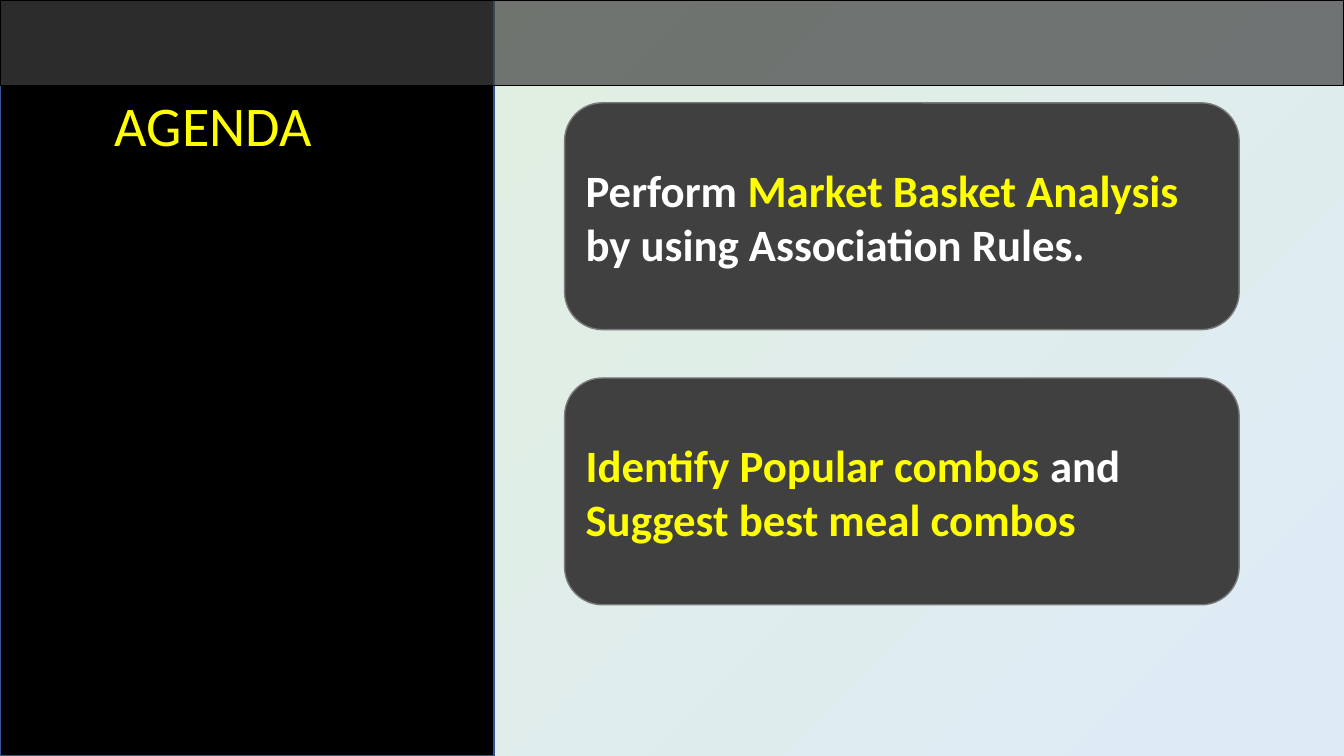
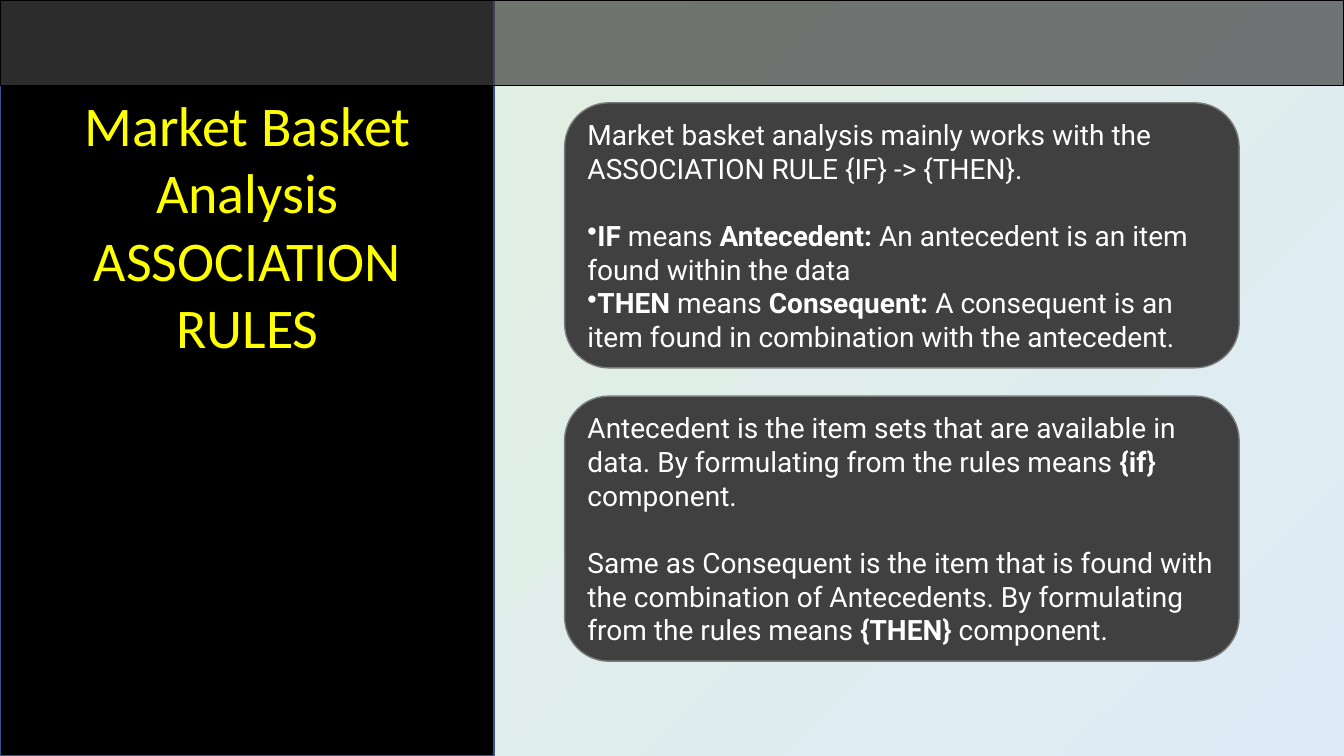
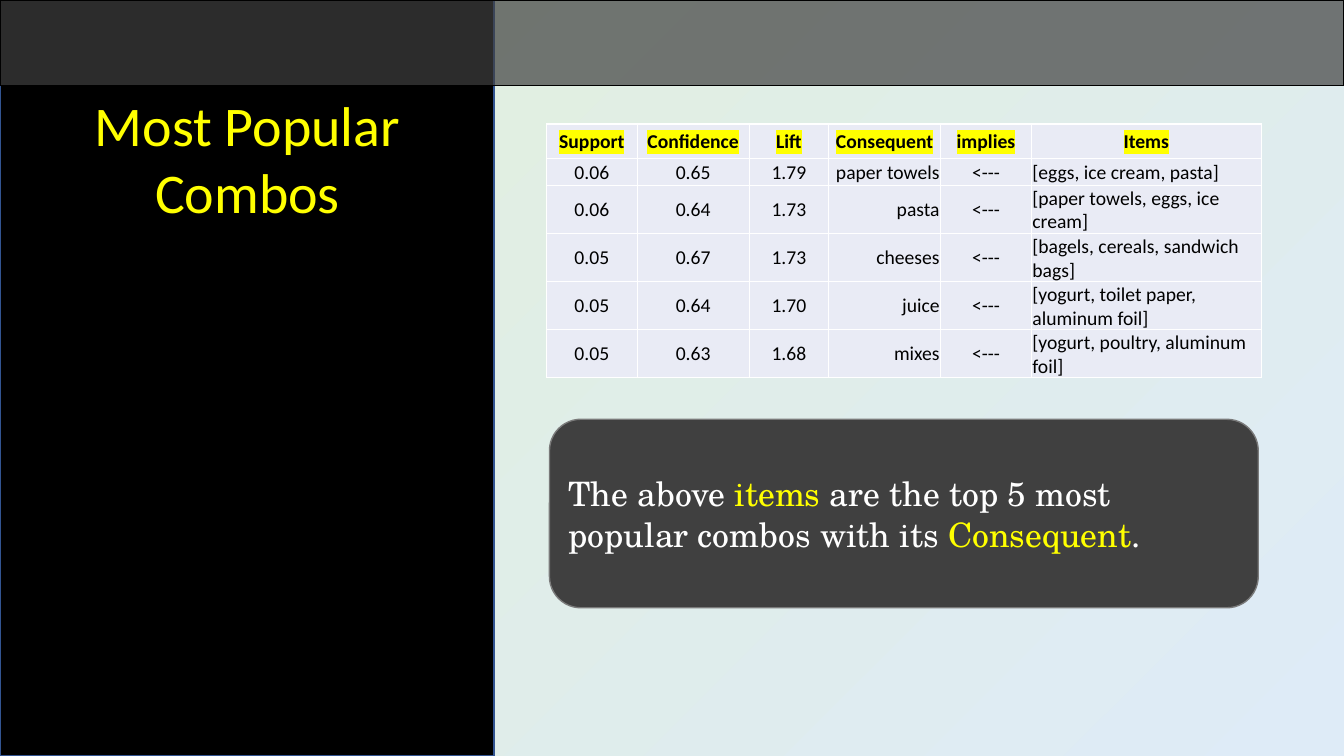
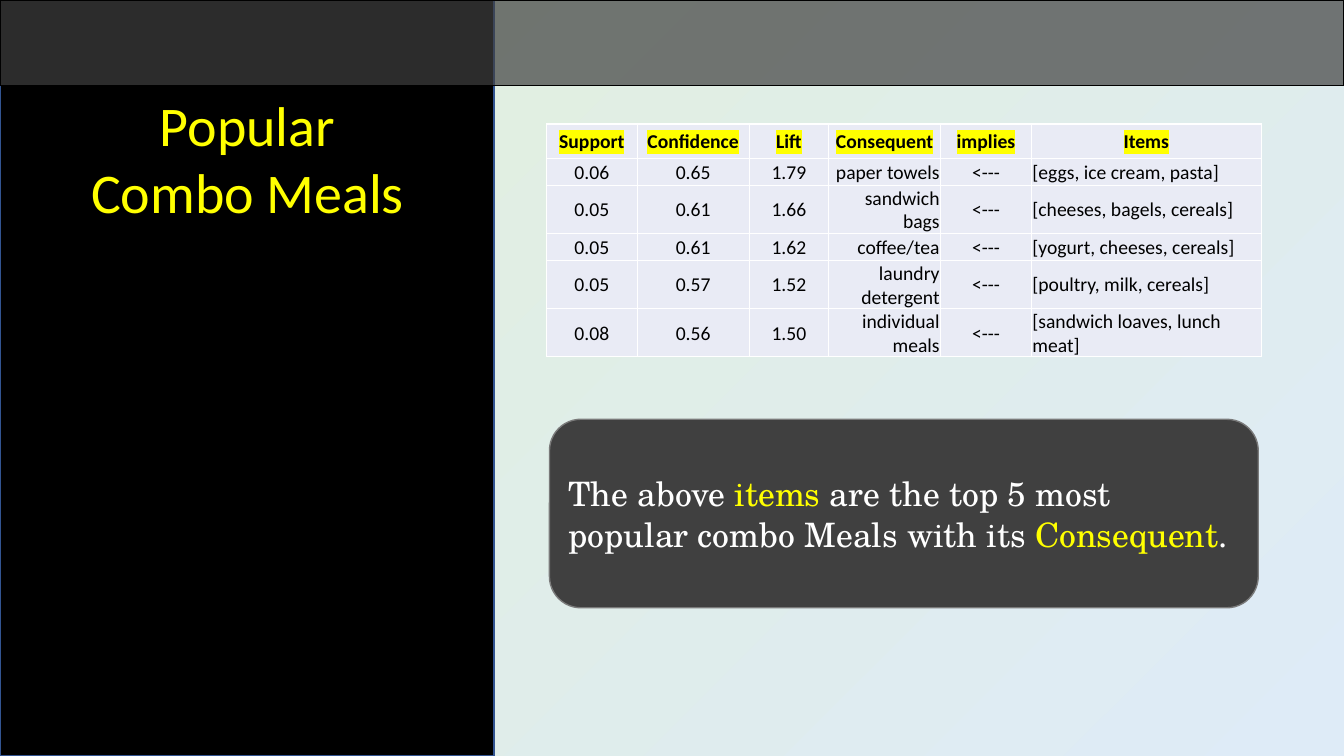
"""Build a four-slide deck on market basket analysis."""
from dataclasses import dataclass

from lxml.etree import SubElement
from pptx import Presentation
from pptx.dml.color import RGBColor
from pptx.enum.shapes import MSO_SHAPE
from pptx.enum.text import MSO_ANCHOR, MSO_AUTO_SIZE, PP_ALIGN
from pptx.oxml.ns import qn
from pptx.shapes.autoshape import Shape
from pptx.slide import Slide
from pptx.table import _Cell
from pptx.text.text import TextFrame
from pptx.util import Inches, Pt

BLACK = RGBColor(0x00, 0x00, 0x00)
WHITE = RGBColor(0xFF, 0xFF, 0xFF)
YELLOW = RGBColor(0xFF, 0xFF, 0x00)
CHARCOAL = RGBColor(0x40, 0x40, 0x40)
CARD_EDGE = RGBColor(0x7A, 0x7A, 0x7A)
PANEL_EDGE = RGBColor(0x32, 0x54, 0x91)
CELL_FILL = RGBColor(0xE9, 0xEB, 0xF5)
PALE_GREEN = RGBColor(0xE2, 0xF0, 0xD9)
PALE_BLUE = RGBColor(0xDE, 0xEB, 0xF7)

SLIDE_WIDTH = Inches(13.33)
SLIDE_HEIGHT = Inches(7.5)
PANEL_WIDTH = Inches(4.9)
BAND_HEIGHT = Inches(0.85)
BAND_OPACITY = 70

HEADERS = ("Support", "Confidence", "Lift", "Consequent", "implies", "Items")
COLUMN_WIDTHS = (0.9, 1.11, 0.79, 1.11, 0.9, 2.28)
COLUMN_ALIGNMENTS = (PP_ALIGN.CENTER,) * 3 + (PP_ALIGN.RIGHT, PP_ALIGN.CENTER, PP_ALIGN.LEFT)
HEADER_HEIGHT = 0.34
ROW_HEIGHT = 0.27
ARROW = "<---"


@dataclass(frozen=True)
class Frame:
    left: float
    top: float
    width: float
    height: float

    def lengths(self) -> tuple[Inches, Inches, Inches, Inches]:
        return Inches(self.left), Inches(self.top), Inches(self.width), Inches(self.height)


@dataclass(frozen=True)
class TextStyle:
    font: str
    size: int
    color: RGBColor = WHITE
    bold: bool = False


@dataclass(frozen=True)
class Span:
    text: str
    color: RGBColor | None = None
    bold: bool | None = None


@dataclass(frozen=True)
class Para:
    spans: tuple[Span, ...]
    bullet: bool = False
    space_before: int = 0


@dataclass(frozen=True)
class Title:
    lines: tuple[str, ...]
    frame: Frame = Frame(0.62, 0.85, 3.67, 1.45)
    alignment: PP_ALIGN = PP_ALIGN.CENTER


@dataclass(frozen=True)
class Card:
    frame: Frame
    style: TextStyle
    paras: tuple[Para, ...]


@dataclass(frozen=True)
class Combo:
    support: str
    confidence: str
    lift: str
    consequent: str
    items: str

    def values(self) -> tuple[str, ...]:
        return self.support, self.confidence, self.lift, self.consequent, ARROW, self.items


@dataclass(frozen=True)
class Page:
    title: Title
    cards: tuple[Card, ...]
    combos: tuple[Combo, ...] = ()


TITLE_STYLE = TextStyle("Calibri", 40, YELLOW)
AGENDA_STYLE = TextStyle("Calibri", 32, bold=True)
RULES_STYLE = TextStyle("Roboto", 20)
SUMMARY_STYLE = TextStyle("TeX Gyre Schola", 24)
HEADER_STYLE = TextStyle("Calibri", 14, BLACK, bold=True)
CELL_STYLE = TextStyle("Calibri", 14, BLACK)


def summary_card(subject: str) -> Card:
    spans = (
        Span("The above "),
        Span("items", YELLOW),
        Span(f" are the top 5 most popular {subject} with its "),
        Span("Consequent", YELLOW),
        Span("."),
    )
    return Card(Frame(5.45, 4.16, 7.03, 1.87), SUMMARY_STYLE, (Para(spans),))


PAGES = (
    Page(
        Title(("AGENDA",), Frame(1.04, 0.85, 2.82, 1.45), PP_ALIGN.LEFT),
        (
            Card(Frame(5.6, 1.02, 6.69, 2.25), AGENDA_STYLE, (
                Para((
                    Span("Perform "),
                    Span("Market Basket Analysis ", YELLOW),
                    Span("by using Association Rules."),
                )),
            )),
            Card(Frame(5.6, 3.75, 6.69, 2.25), AGENDA_STYLE, (
                Para((
                    Span("Identify Popular combos ", YELLOW),
                    Span("and "),
                    Span("Suggest best meal combos", YELLOW),
                )),
            )),
        ),
    ),
    Page(
        Title(("Market Basket Analysis", "ASSOCIATION RULES"), Frame(0.62, 0.85, 3.67, 2.79)),
        (
            Card(Frame(5.6, 1.02, 6.69, 2.63), RULES_STYLE, (
                Para((Span(
                    "Market basket analysis mainly works with the "
                    "ASSOCIATION RULE {IF} -> {THEN}."
                ),)),
                Para((
                    Span("IF", bold=True),
                    Span(" means "),
                    Span("Antecedent: ", bold=True),
                    Span("An antecedent is an item found within the data"),
                ), bullet=True, space_before=24),
                Para((
                    Span("THEN", bold=True),
                    Span(" means "),
                    Span("Consequent: ", bold=True),
                    Span("A consequent is an item found in combination with the antecedent."),
                ), bullet=True),
            )),
            Card(Frame(5.6, 3.93, 6.69, 2.63), RULES_STYLE, (
                Para((
                    Span(
                        "Antecedent is the item sets that are available in data. "
                        "By formulating from the rules means"
                    ),
                    Span(" {if}", bold=True),
                    Span(" component."),
                )),
                Para((
                    Span(
                        "Same as Consequent is the item that is found with the combination "
                        "of Antecedents. By formulating from the rules means "
                    ),
                    Span("{THEN}", bold=True),
                    Span(" component."),
                ), space_before=24),
            )),
        ),
    ),
    Page(
        Title(("Most Popular Combos",)),
        (summary_card("combos"),),
        (
            Combo("0.06", "0.65", "1.79", "paper towels", "[eggs, ice cream, pasta]"),
            Combo("0.06", "0.64", "1.73", "pasta", "[paper towels, eggs, ice cream]"),
            Combo("0.05", "0.67", "1.73", "cheeses", "[bagels, cereals, sandwich bags]"),
            Combo("0.05", "0.64", "1.70", "juice", "[yogurt, toilet paper, aluminum foil]"),
            Combo("0.05", "0.63", "1.68", "mixes", "[yogurt, poultry, aluminum foil]"),
        ),
    ),
    Page(
        Title(("Popular Combo Meals",)),
        (summary_card("combo Meals"),),
        (
            Combo("0.06", "0.65", "1.79", "paper towels", "[eggs, ice cream, pasta]"),
            Combo("0.05", "0.61", "1.66", "sandwich bags", "[cheeses, bagels, cereals]"),
            Combo("0.05", "0.61", "1.62", "coffee/tea", "[yogurt, cheeses, cereals]"),
            Combo("0.05", "0.57", "1.52", "laundry detergent", "[poultry, milk, cereals]"),
            Combo("0.08", "0.56", "1.50", "individual meals", "[sandwich loaves, lunch meat]"),
        ),
    ),
)


def paint(shape: Shape, fill: RGBColor, edge: RGBColor) -> None:
    shape.shadow.inherit = False
    shape.fill.solid()
    shape.fill.fore_color.rgb = fill
    shape.line.color.rgb = edge
    shape.line.width = Pt(1)


def write(
    text_frame: TextFrame,
    paras: tuple[Para, ...],
    style: TextStyle,
    alignment: PP_ALIGN = PP_ALIGN.LEFT,
) -> None:
    text_frame.word_wrap = True
    for index, para in enumerate(paras):
        paragraph = text_frame.add_paragraph() if index else text_frame.paragraphs[0]
        paragraph.alignment = alignment
        if para.bullet:
            SubElement(paragraph._p.get_or_add_pPr(), qn("a:buChar"), char="•")
        if para.space_before:
            paragraph.space_before = Pt(para.space_before)
        paragraph.font.name = style.font
        paragraph.font.size = Pt(style.size)
        paragraph.font.bold = style.bold
        paragraph.font.color.rgb = style.color
        for span in para.spans:
            run = paragraph.add_run()
            run.text = span.text
            if span.bold is not None:
                run.font.bold = span.bold
            if span.color is not None:
                run.font.color.rgb = span.color


def draw_title_panel(page: Slide, title: Title) -> None:
    group = page.shapes.add_group_shape()
    panel = group.shapes.add_shape(MSO_SHAPE.RECTANGLE, 0, 0, PANEL_WIDTH, SLIDE_HEIGHT)
    paint(panel, BLACK, PANEL_EDGE)
    box = group.shapes.add_textbox(*title.frame.lengths())
    paras = tuple(Para((Span(line),)) for line in title.lines)
    write(box.text_frame, paras, TITLE_STYLE, title.alignment)
    box.text_frame.auto_size = MSO_AUTO_SIZE.SHAPE_TO_FIT_TEXT


def draw_band(page: Slide) -> None:
    band = page.shapes.add_shape(MSO_SHAPE.RECTANGLE, 0, 0, SLIDE_WIDTH, BAND_HEIGHT)
    paint(band, CHARCOAL, BLACK)
    color = band._element.spPr.find(qn("a:solidFill"))[0]
    SubElement(color, qn("a:alpha"), val=str(BAND_OPACITY * 1000))


def draw_card(page: Slide, card: Card) -> None:
    box = page.shapes.add_shape(MSO_SHAPE.ROUNDED_RECTANGLE, *card.frame.lengths())
    paint(box, CHARCOAL, CARD_EDGE)
    box.text_frame.vertical_anchor = MSO_ANCHOR.MIDDLE
    write(box.text_frame, card.paras, card.style)


def add_color(parent, tag: str, color: RGBColor) -> None:
    SubElement(SubElement(parent, qn(tag)), qn("a:srgbClr"), val=str(color))


def format_cell(cell: _Cell) -> None:
    cell.vertical_anchor = MSO_ANCHOR.MIDDLE
    cell.margin_left = cell.margin_right = cell.margin_top = Inches(0.01)
    cell.margin_bottom = 0
    properties = cell._tc.get_or_add_tcPr()
    for side in ("a:lnL", "a:lnR", "a:lnT", "a:lnB"):
        border = SubElement(properties, qn(side), w=str(Pt(1)))
        add_color(border, "a:solidFill", WHITE)
    cell.fill.solid()
    cell.fill.fore_color.rgb = CELL_FILL


def draw_table(page: Slide, combos: tuple[Combo, ...]) -> None:
    rows = (HEADERS, *(combo.values() for combo in combos))
    height = HEADER_HEIGHT + ROW_HEIGHT * len(combos)
    frame = Frame(5.42, 1.23, sum(COLUMN_WIDTHS), height)
    table = page.shapes.add_table(len(rows), len(HEADERS), *frame.lengths()).table
    table.first_row = False
    table.horz_banding = False
    for column, width in zip(table.columns, COLUMN_WIDTHS):
        column.width = Inches(width)
    for row_index, values in enumerate(rows):
        is_header = row_index == 0
        table.rows[row_index].height = Inches(HEADER_HEIGHT if is_header else ROW_HEIGHT)
        for column_index, value in enumerate(values):
            cell = table.cell(row_index, column_index)
            format_cell(cell)
            style = HEADER_STYLE if is_header else CELL_STYLE
            alignment = PP_ALIGN.CENTER if is_header else COLUMN_ALIGNMENTS[column_index]
            write(cell.text_frame, (Para((Span(value),)),), style, alignment)
            if is_header:
                run = cell.text_frame.paragraphs[0].runs[0]
                add_color(run._r.get_or_add_rPr(), "a:highlight", YELLOW)


def main() -> None:
    deck = Presentation()
    deck.slide_width = SLIDE_WIDTH
    deck.slide_height = SLIDE_HEIGHT
    background = deck.slide_master.background.fill
    background.gradient()
    background.gradient_angle = 315
    for stop, color in zip(background.gradient_stops, (PALE_GREEN, PALE_BLUE)):
        stop.color.rgb = color
    for content in PAGES:
        page = deck.slides.add_slide(deck.slide_layouts[6])
        draw_title_panel(page, content.title)
        draw_band(page)
        for card in content.cards:
            draw_card(page, card)
        if content.combos:
            draw_table(page, content.combos)
    deck.save("out.pptx")


if __name__ == "__main__":
    main()
